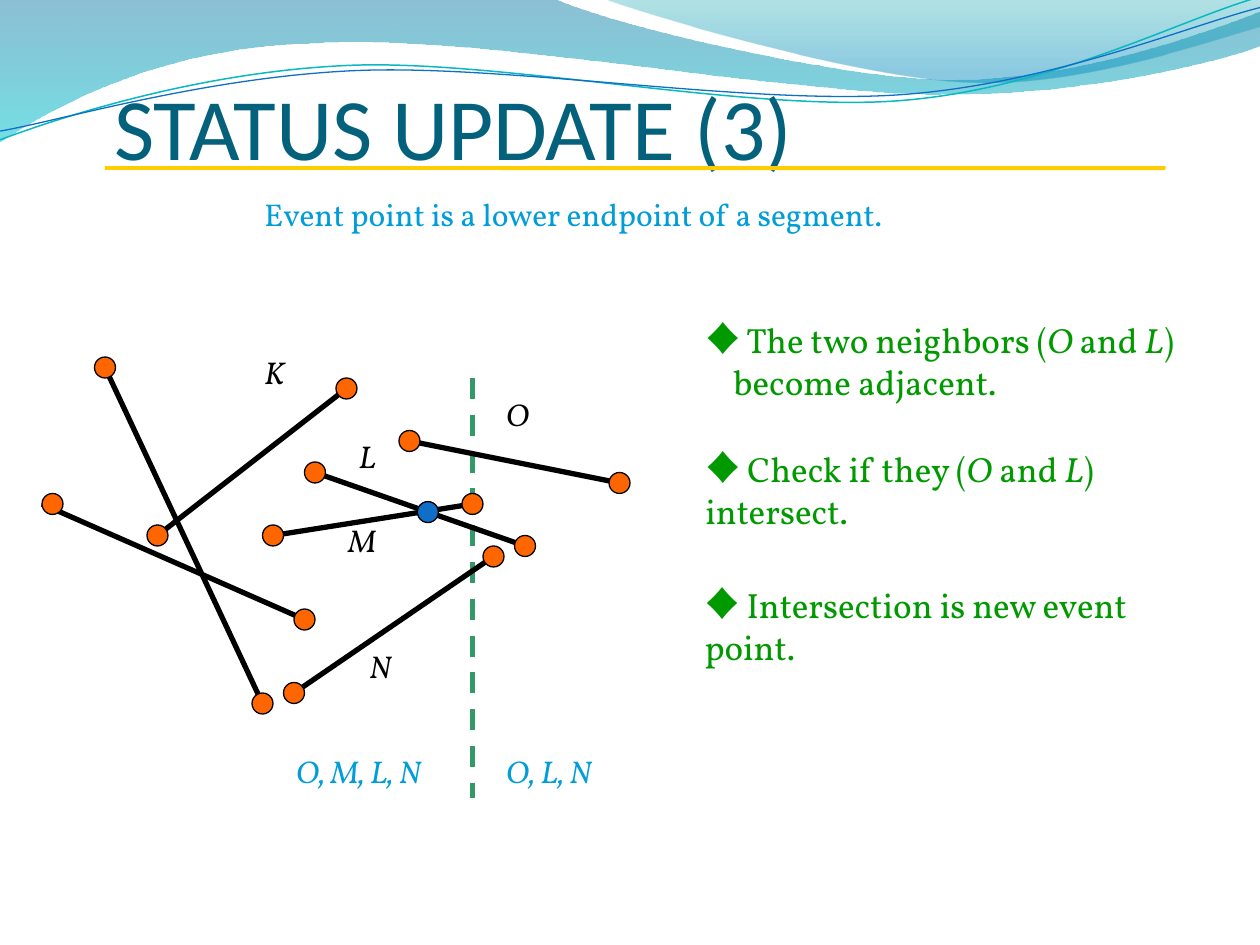
from lxml.etree import SubElement
from pptx import Presentation
from pptx.dml.color import RGBColor
from pptx.enum.dml import MSO_LINE
from pptx.enum.shapes import MSO_CONNECTOR, MSO_SHAPE
from pptx.enum.text import MSO_ANCHOR
from pptx.oxml.ns import qn
from pptx.util import Pt

BLACK, ORANGE, BLUE, SKY, GREEN = "000000", "FF6600", "0F6FC6", "009DD9", "009900"
DOT = 12

# Each step holds 2 numbers (straight line) or 6 numbers (cubic curve).
BANDS = [
    ([(0, 0), (316.8, -0.7), (342.7, 12.2, 478, 45.4, 545.8, 45.4),
      (614.2, 45.4, 689.8, 18.7, 720, 6.5), (720.7, 25.9),
      (707.8, 31.7, 626.4, 54.7, 537.1, 54), (447.8, 54, 275, 20.2, 185, 24.5),
      (92.9, 25.9, 33.1, 59.8, -0.7, 81.4), (0, 0)],
     [(0, "0074A1", 45), (1, "00C6CF", 55)]),
    ([(344.9, -0.7), (366.5, 7.9, 491, 44.6, 553.7, 46.8),
      (616.3, 49.7, 691.9, 23, 720, 15.1), (720, 0), (344.9, -0.7)],
     [(0, "00A1A9", 30), (0.8, "008BBF", 45)]),
]
WAVES = [
    ([(0, 79.9), (34.6, 67, 113.8, 41, 199.4, 37.4),
      (284.4, 33.8, 427, 64.1, 513.4, 57.6),
      (599.8, 51.1, 675.4, 10.8, 718.6, -1.4)], "0AB8BF", 0.85),
    ([(0, 74.9), (33.8, 69.1, 118.1, 43.9, 203.8, 40.3),
      (290.2, 36.7, 429.8, 60.5, 516.2, 54),
      (601.9, 47.5, 677.5, 15.1, 720, 4.3)], BLUE, 0.75),
]
RULE = ((60, 96), (666, 96.1))
SWEEP = ((270, 216), (270, 456))

# Ends of each segment; the first one starts at the rim of its dot.
RIM = (24, 288)
PAIRS = [((30, 288), (174, 354)), ((60, 210), (150, 402)), ((168, 396), (282, 318)),
         ((180, 270), (300, 312)), ((156, 306), (270, 288)), ((90, 306), (198, 222)),
         ((234, 252), (354, 276))]
CROSS = (244.5, 292.6)

HEAD = {"size": Pt(50), "name": "Calibri"}
BODY = {"size": Pt(20), "name": "Vollkorn"}
NOTE = {"size": Pt(18), "name": "Vollkorn"}
NAME = {**NOTE, "italic": True}

LABELS = [("K", 144, 198, 30), ("L", 198, 246, 28), ("M", 192, 294, 35),
          ("N", 204, 366, 30), ("O", 282, 222, 32)]
ORDERS = [("O, M, L, N", 162, 426, 92), ("O, L, N", 282, 426, 68)]

# Box and paragraphs; odd runs of a paragraph are italic.
POINTS = [
    ((396, 178.5, 284, 55.5),
     [[" The two neighbors (", "O ", "and ", "L", ")"], ["become adjacent."]]),
    ((396, 252, 307.5, 55.5),
     [[" Check if they (", "O", " and ", "L", ")  intersect."]]),
    ((395.5, 330, 284.5, 55.5), [[" Intersection is new event point."]]),
]


def paint(text):
    """Turn a hex string into a colour."""
    return RGBColor.from_string(text)


def stroke(line, color, width):
    """Set colour and width of a line."""
    line.color.rgb = paint(color)
    line.width = Pt(width)


def outline(steps, close):
    """Draw a freeform of lines and true cubic curves."""
    spots = [(round(x * 100), round(y * 100))
             for step in steps for x, y in zip(step[::2], step[1::2])]
    pen = shapes.build_freeform(*spots[0], scale=Pt(1) / 100)
    pen.add_line_segments(spots[1:], close=close)
    shape = pen.convert_to_shape()
    shape.shadow.inherit = False
    lines = iter(list(shape._element.iter(qn("a:lnTo"))))
    for step in steps[1:]:
        line = next(lines)
        if len(step) == 6:
            line.tag = qn("a:cubicBezTo")
            for _ in range(2):
                extra = next(lines)
                line.append(extra[0])
                extra.getparent().remove(extra)
    return shape


def band(steps, stops):
    """Draw a clear band shaded from top to bottom."""
    shape = outline(steps, True)
    shape.line.fill.background()
    shape.fill.gradient()
    shape.fill.gradient_angle = 270
    for stop, (place, color, _) in zip(shape.fill.gradient_stops, stops):
        stop.position = place
        stop.color.rgb = paint(color)
    tags = shape._element.spPr.iter(qn("a:srgbClr"))
    for tag, (_, _, alpha) in zip(tags, stops):
        SubElement(tag, qn("a:alpha")).set("val", str(alpha * 1000))


def join(start, end, color, width):
    """Draw a straight line without shadow."""
    line = shapes.add_connector(MSO_CONNECTOR.STRAIGHT, *map(Pt, (*start, *end)))
    stroke(line.line, color, width)
    SubElement(line._element.spPr, qn("a:effectLst"))
    return line


def dot(spot, color):
    """Draw a dot centred on a spot."""
    x, y = spot
    shape = shapes.add_shape(MSO_SHAPE.OVAL, Pt(x - DOT / 2), Pt(y - DOT / 2),
                             Pt(DOT), Pt(DOT))
    shape.shadow.inherit = False
    shape.fill.solid()
    shape.fill.fore_color.rgb = paint(color)
    stroke(shape.line, BLACK, 0.75)


def write(box, paras, font, color, **frame):
    """Add a text box and return its paragraphs."""
    text = shapes.add_textbox(*map(Pt, box)).text_frame
    for key, value in {"word_wrap": True, **frame}.items():
        setattr(text, key, value)
    for i, runs in enumerate(paras):
        para = text.add_paragraph() if i else text.paragraphs[0]
        for j, words in enumerate(runs):
            run = para.add_run()
            run.text = words
            for key, value in {"italic": j % 2 == 1, **font}.items():
                setattr(run.font, key, value)
            run.font.color.rgb = paint(color)
    return text.paragraphs


def mark(para):
    """Give a paragraph a diamond bullet."""
    props = para._p.get_or_add_pPr()
    props.set("marL", "0")
    props.set("indent", "0")
    SubElement(props, qn("a:buFont")).set("typeface", "Vollkorn")
    SubElement(props, qn("a:buChar")).set("char", "♦")


deck = Presentation()
deck.slide_width, deck.slide_height = Pt(720), Pt(540)
shapes = deck.slides.add_slide(deck.slide_layouts[6]).shapes

for steps, stops in BANDS:
    band(steps, stops)
for steps, color, width in WAVES:
    wave = outline(steps, False)
    wave.fill.background()
    stroke(wave.line, color, width)

write((54, 12, 612, 90), [["STATUS UPDATE (3)"]], HEAD, "04617B",
      vertical_anchor=MSO_ANCHOR.BOTTOM, margin_left=Pt(11.3), margin_right=0,
      margin_top=Pt(3.6), margin_bottom=0)
join(*RULE, "FFCC00", 2.25)
join(*SWEEP, "339966", 3).line.dash_style = MSO_LINE.DASH

write((144, 108, 449, 36), [["Event point is a lower endpoint of a segment."]], NOTE, SKY)
for box, paras in POINTS:
    first, *rest = write(box, paras, BODY, GREEN)
    mark(first)
    for para in rest:
        para._p.get_or_add_pPr().set("marL", str(Pt(16)))

for i, (start, end) in enumerate(PAIRS):
    join(start if i else RIM, end, BLACK, 3)
for pair in PAIRS:
    for spot in pair:
        dot(spot, ORANGE)
dot(CROSS, BLUE)

for group, color, height in ((LABELS, BLACK, 36), (ORDERS, SKY, 29)):
    for words, x, y, width in group:
        write((x, y, width, height), [[words]], NAME, color)

deck.save("out.pptx")
